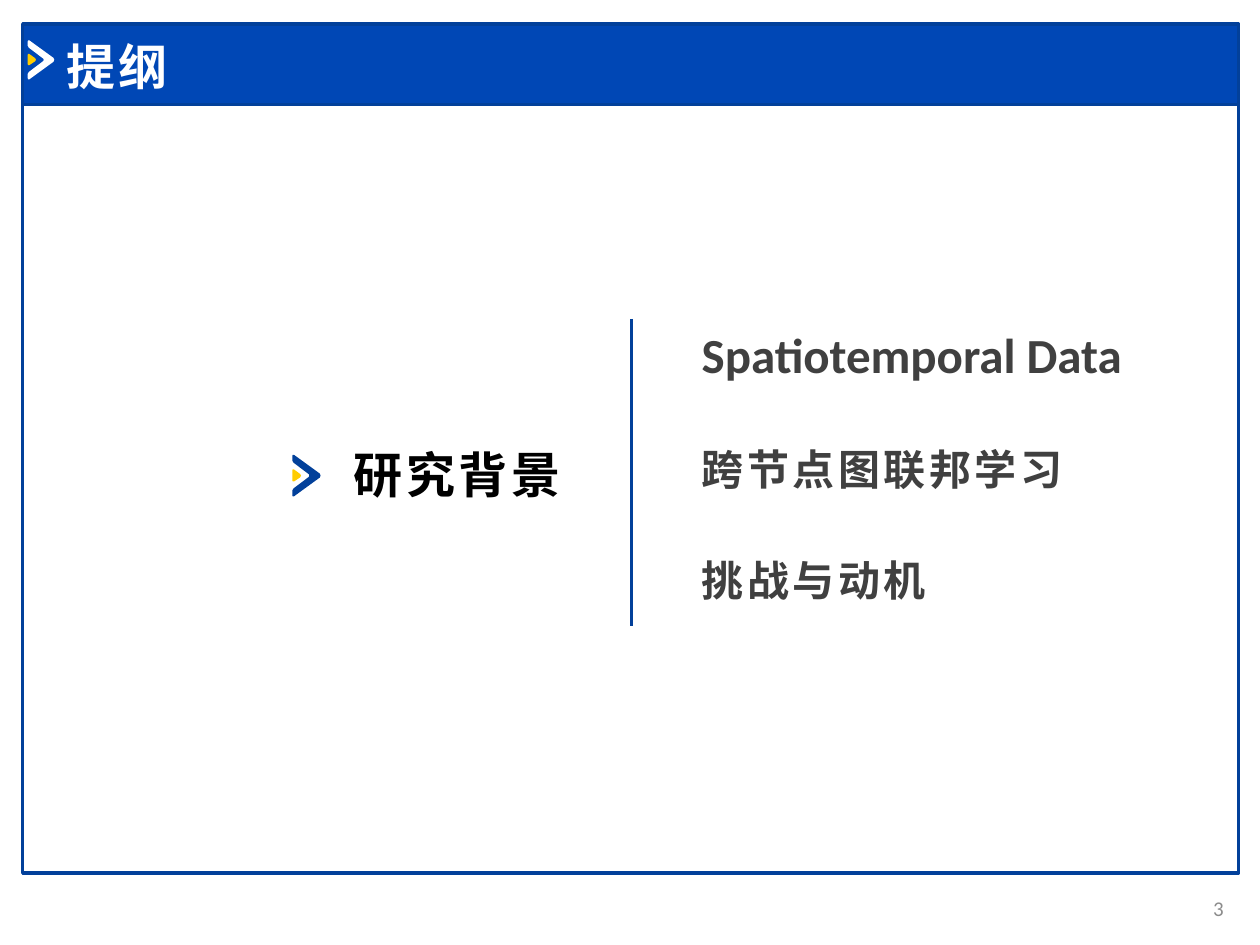
import pptx
import pptx.dml.color
import pptx.enum.shapes
import pptx.enum.text
import pptx.oxml
import pptx.oxml.ns
import pptx.util

LATIN, CHINESE = "Calibri", "Noto Sans CJK SC"
NAVY, BLUE, YELLOW, WHITE, GREY = "02409A", "0047B5", "FFCC00", "FFFFFF", "404040"

FRAME_LEFT, FRAME_WIDTH = 0.18, 9.65
BANDS = [(0.83, 6.1, None), (0.19, 0.64, BLUE)]
TOPIC_LEFT, TOPIC_WIDTH = 5.47, 3.75
TOPICS = [
    ("Spatiotemporal Data", 2.53, 0.57, 28, LATIN, 0),
    ("跨节点图联邦学习", 3.47, 0.5, 24, CHINESE, 2),
    ("挑战与动机", 4.35, 0.5, 24, CHINESE, 2),
]
CHEVRON = [(0, 3), (1, 0), (4, 0), (66, 45), (68, 50), (66, 55), (4, 100), (1, 100),
           (0, 97), (0, 86), (3, 81), (40, 53), (41, 50), (40, 47), (3, 19), (0, 14)]
WEDGE = [(0, 38), (1, 35), (4, 35), (19, 46), (21, 50), (19, 54), (4, 64), (1, 64), (0, 61)]
MARKERS = [(0.22, 0.32, 0.31, WHITE), (2.32, 3.61, 0.33, NAVY)]


def colour(value):
    return pptx.dml.color.RGBColor.from_string(value)


def add_band(slide, top, height, fill):
    box = [pptx.util.Inches(n) for n in (FRAME_LEFT, top, FRAME_WIDTH, height)]
    shape = slide.shapes.add_shape(pptx.enum.shapes.MSO_SHAPE.RECTANGLE, *box)
    shape.shadow.inherit = False
    if fill:
        shape.fill.solid()
        shape.fill.fore_color.rgb = colour(fill)
    else:
        shape.fill.background()
    shape.line.color.rgb = colour(NAVY)
    shape.line.width = pptx.util.Pt(2)


def add_outline(slide, points, left, top, height, fill):
    corners = [(pptx.util.Inches(left + x * height / 100),
                pptx.util.Inches(top + y * height / 100)) for x, y in points]
    builder = slide.shapes.build_freeform(*corners[0])
    builder.add_line_segments(corners[1:], close=True)
    shape = builder.convert_to_shape()
    shape.shadow.inherit = False
    shape.fill.solid()
    shape.fill.fore_color.rgb = colour(fill)
    shape.line.fill.background()


def add_text(slide, text, box, size, font, fill, bold=True, spacing=0, align="LEFT", anchor="TOP"):
    frame = slide.shapes.add_textbox(*[pptx.util.Inches(n) for n in box]).text_frame
    frame.word_wrap = True
    frame.vertical_anchor = getattr(pptx.enum.text.MSO_ANCHOR, anchor)
    paragraph = frame.paragraphs[0]
    paragraph.alignment = getattr(pptx.enum.text.PP_ALIGN, align)
    paragraph.font.size = pptx.util.Pt(size)
    paragraph.font.name = font
    paragraph.font.bold = bold
    paragraph.font.color.rgb = colour(fill)
    run = paragraph.add_run()
    run.text = text
    properties = run._r.get_or_add_rPr()
    properties.set("spc", str(spacing * 100))
    east_asian = pptx.oxml.parse_xml(f'<a:ea {pptx.oxml.ns.nsdecls("a")} typeface="{CHINESE}"/>')
    properties.append(east_asian)


def add_divider(slide, x, top, bottom):
    ends = [pptx.util.Inches(n) for n in (x, top, x, bottom)]
    line = slide.shapes.add_connector(pptx.enum.shapes.MSO_CONNECTOR.STRAIGHT, *ends)
    line.line.color.rgb = colour(NAVY)
    line.line.width = pptx.util.Pt(1.5)
    line._element.spPr.append(pptx.oxml.parse_xml(f'<a:effectLst {pptx.oxml.ns.nsdecls("a")}/>'))


def main():
    """Build the outline slide and save it."""
    presentation = pptx.Presentation()
    presentation.slide_width = pptx.util.Inches(10)
    presentation.slide_height = pptx.util.Inches(7.5)
    slide = presentation.slides.add_slide(presentation.slide_layouts[6])
    for band in BANDS:
        add_band(slide, *band)
    for left, top, height, fill in MARKERS:
        add_outline(slide, CHEVRON, left, top, height, fill)
        add_outline(slide, WEDGE, left, top, height, YELLOW)
    add_text(slide, "提纲", (0.43, 0.24, 8.28, 0.57), 28, LATIN, WHITE, spacing=2, anchor="MIDDLE")
    add_text(slide, "研究背景", (2.71, 3.48, 2.15, 0.57), 28, CHINESE, "000000", spacing=2)
    for text, top, height, size, font, spacing in TOPICS:
        add_text(slide, text, (TOPIC_LEFT, top, TOPIC_WIDTH, height), size, font, GREY, spacing=spacing)
    add_divider(slide, 5.01, 2.53, 4.97)
    add_text(slide, "3", (9.22, 7.01, 0.59, 0.4), 12, LATIN, "8C8C8C", bold=False,
             align="RIGHT", anchor="MIDDLE")
    presentation.save("out.pptx")


if __name__ == "__main__":
    main()
